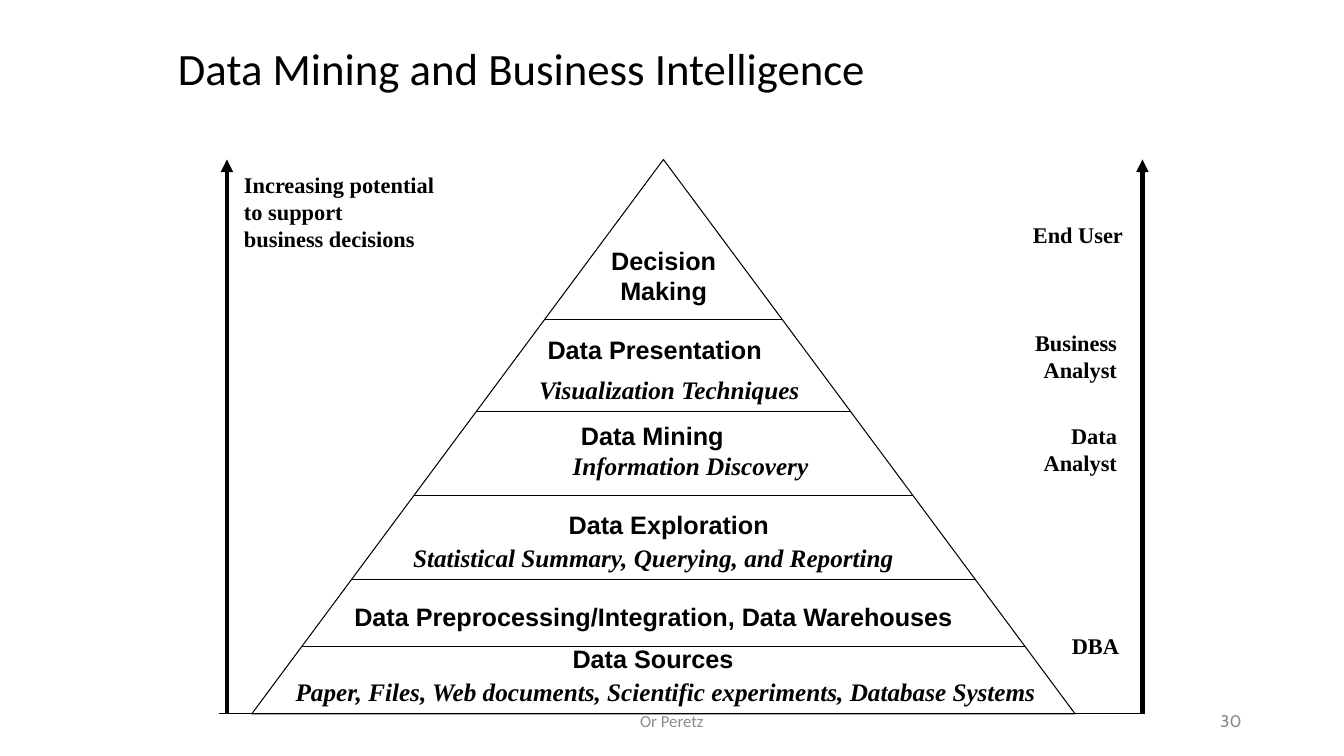
from dataclasses import dataclass

from lxml.etree import SubElement
from pptx import Presentation
from pptx.dml.color import RGBColor
from pptx.enum.shapes import MSO_CONNECTOR, MSO_SHAPE
from pptx.enum.text import MSO_ANCHOR, MSO_AUTO_SIZE, PP_ALIGN
from pptx.oxml.ns import qn
from pptx.util import Cm, Pt


@dataclass(frozen=True)
class Theme:
    ink: RGBColor = RGBColor(0x00, 0x00, 0x00)
    footer: RGBColor = RGBColor(0x8C, 0x8C, 0x8C)
    number: RGBColor = RGBColor(0x89, 0x89, 0x89)
    sans: str = "Arial"
    serif: str = "Times New Roman"
    body: str = "Calibri"
    number_font: str = "Cabin"
    title_size: int = 32
    band_size: int = 18
    label_size: int = 16
    footer_size: int = 12
    thin: float = 0.75
    thick: float = 3


THEME = Theme()

APEX_X, APEX_Y = 16.72, 4.02
PYRAMID_WIDTH, PYRAMID_HEIGHT = 20.75, 13.97
BASE_Y = APEX_Y + PYRAMID_HEIGHT
LEFT_AXIS, RIGHT_AXIS = 5.72, 28.79
BAND_EDGES = (8.05, 10.37, 12.49, 14.6, 16.3)
LINE_HEIGHT = 1.03

BAND_HEADINGS = (
    ("Decision Making", 15.03, 6.05, 3.39, PP_ALIGN.CENTER),
    ("Data Presentation", 13.55, 8.3, 5.97, PP_ALIGN.LEFT),
    ("Data Mining", 14.39, 10.46, 4.95, PP_ALIGN.LEFT),
    ("Data Exploration", 13.59, 12.7, 6.53, PP_ALIGN.CENTER),
    ("Data Preprocessing/Integration, Data Warehouses", 8.68, 15.03, 15.75, PP_ALIGN.LEFT),
    ("Data Sources", 14.18, 16.09, 4.73, PP_ALIGN.LEFT),
)
BAND_DETAILS = (
    ("Visualization Techniques", 13.34, 9.31, 7.17),
    ("Information Discovery", 14.18, 11.22, 6.52),
    ("Statistical Summary, Querying, and Reporting", 10.16, 13.55, 12.7),
    ("Paper, Files, Web documents, Scientific experiments, Database Systems", 7.2, 16.93, 19.76),
)
ROLES = (
    ("End User", 25.76, 5.44, 2.79, 0.94),
    ("Business\nAnalyst", 25.76, 8.18, 2.64, 1.63),
    ("Data\nAnalyst", 26.01, 10.52, 2.39, 1.63),
    ("DBA", 26.75, 15.8, 1.7, 0.94),
)


def format_text(frame, font, size, color=THEME.ink, bold=False, italic=False, align=PP_ALIGN.LEFT):
    for para in frame.paragraphs:
        para.alignment = align
        for span in para.runs:
            span.font.name = font
            span.font.size = Pt(size)
            span.font.bold = bold
            span.font.italic = italic
            span.font.color.rgb = color


def add_text(page, text, left, top, width, height, font, size, wrap=True,
             anchor=MSO_ANCHOR.TOP, **style):
    box = page.shapes.add_textbox(Cm(left), Cm(top), Cm(width), Cm(height))
    frame = box.text_frame
    frame.text = text
    frame.word_wrap = wrap
    frame.vertical_anchor = anchor
    format_text(frame, font, size, **style)


def add_label(page, text, left, top, width, height, align):
    add_text(page, text, left, top, width, height, THEME.serif, THEME.label_size,
             wrap=False, bold=True, align=align)


def add_line(page, start, end, weight, arrow=False):
    line = page.shapes.add_connector(MSO_CONNECTOR.STRAIGHT, *map(Cm, start + end))
    line.line.color.rgb = THEME.ink
    line.line.width = Pt(weight)
    if arrow:
        SubElement(line.line._get_or_add_ln(), qn("a:tailEnd"), type="triangle")
    SubElement(line._element.spPr, qn("a:effectLst"))


def set_title(page, text):
    title = page.shapes.title
    title.left, title.top, title.width, title.height = map(Cm, (4.23, 1.06, 25.4, 1.48))
    frame = title.text_frame
    frame.text = text
    frame.auto_size = MSO_AUTO_SIZE.NONE
    frame.vertical_anchor = MSO_ANCHOR.MIDDLE
    frame.paragraphs[0].line_spacing = 0.9
    format_text(frame, THEME.body, THEME.title_size)


def add_pyramid(page):
    pyramid = page.shapes.add_shape(
        MSO_SHAPE.FLOWCHART_EXTRACT, Cm(APEX_X - PYRAMID_WIDTH / 2), Cm(APEX_Y),
        Cm(PYRAMID_WIDTH), Cm(PYRAMID_HEIGHT))
    pyramid.shadow.inherit = False
    pyramid.fill.background()
    pyramid.line.color.rgb = THEME.ink
    pyramid.line.width = Pt(THEME.thin)
    for edge in BAND_EDGES:
        reach = PYRAMID_WIDTH / 2 * (edge - APEX_Y) / PYRAMID_HEIGHT
        add_line(page, (APEX_X - reach, edge), (APEX_X + reach, edge), THEME.thin)


def add_axes(page):
    for axis in (LEFT_AXIS, RIGHT_AXIS):
        add_line(page, (axis, BASE_Y), (axis, APEX_Y), THEME.thick, arrow=True)
    add_line(page, (LEFT_AXIS - 0.2, BASE_Y), (RIGHT_AXIS, BASE_Y), THEME.thin)


def add_band_texts(page):
    for text, left, top, width, align in BAND_HEADINGS:
        add_text(page, text, left, top, width, LINE_HEIGHT, THEME.sans, THEME.band_size,
                 bold=True, align=align)
    for text, left, top, width in BAND_DETAILS:
        add_text(page, text, left, top, width, LINE_HEIGHT, THEME.serif, THEME.band_size,
                 bold=True, italic=True)


def add_footer(page):
    add_text(page, "Or Peretz", 11.22, 17.66, 11.43, 1.01, THEME.body, THEME.footer_size,
             anchor=MSO_ANCHOR.MIDDLE, color=THEME.footer, align=PP_ALIGN.CENTER)
    add_text(page, "30", 23.92, 17.66, 7.62, 1.01, THEME.number_font, THEME.footer_size,
             anchor=MSO_ANCHOR.MIDDLE, color=THEME.number, align=PP_ALIGN.RIGHT)


def main():
    deck = Presentation()
    deck.slide_width, deck.slide_height = Cm(33.87), Cm(19.05)
    page = deck.slides.add_slide(deck.slide_layouts[5])
    set_title(page, "Data Mining and Business Intelligence")
    add_footer(page)
    add_pyramid(page)
    add_axes(page)
    add_label(page, "Increasing potential\nto support\nbusiness decisions",
              5.9, 4.19, 5.33, 2.29, PP_ALIGN.LEFT)
    for role in ROLES:
        add_label(page, *role, PP_ALIGN.RIGHT)
    add_band_texts(page)
    deck.save("out.pptx")


if __name__ == "__main__":
    main()
